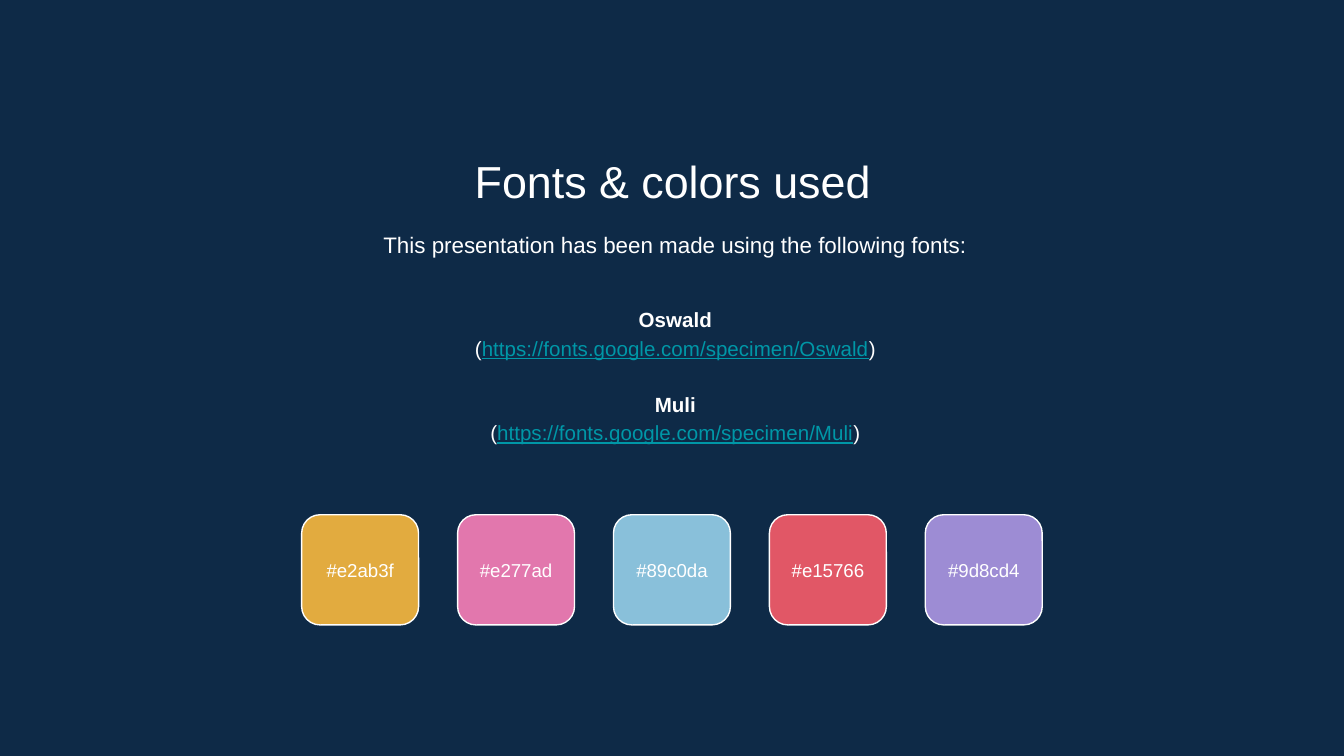
import dataclasses

import pptx
import pptx.dml.color
import pptx.enum.shapes
import pptx.enum.text
import pptx.oxml
import pptx.oxml.ns
import pptx.util

Inches = pptx.util.Inches
Pt = pptx.util.Pt
RGBColor = pptx.dml.color.RGBColor
PP_ALIGN = pptx.enum.text.PP_ALIGN
MSO_ANCHOR = pptx.enum.text.MSO_ANCHOR

FONT = "Arial"
NAVY = RGBColor(0x0E, 0x2A, 0x47)
WHITE = RGBColor(0xFF, 0xFF, 0xFF)
TEAL = RGBColor(0x00, 0x97, 0xA7)

SLIDE_WIDTH = 10
SLIDE_HEIGHT = SLIDE_WIDTH * 9 / 16


@dataclasses.dataclass
class Typeface:
    name: str
    address: str


TYPEFACES = [
    Typeface("Oswald", "https://fonts.google.com/specimen/Oswald"),
    Typeface("Muli", "https://fonts.google.com/specimen/Muli"),
]
SWATCHES = ["#e2ab3f", "#e277ad", "#89c0da", "#e15766", "#9d8cd4"]

# The row of swatches is centered on the slide
SWATCH_TOP, SWATCH_STEP = 3.83, 1.16
SWATCH_WIDTH, SWATCH_HEIGHT = 0.87, 0.82
SWATCH_LEFT = (SLIDE_WIDTH - SWATCH_STEP * (len(SWATCHES) - 1) - SWATCH_WIDTH) / 2


def style(font, size: float, bold: bool = False) -> None:
    font.name = FONT
    font.size = Pt(size)
    font.bold = bold
    font.color.rgb = WHITE


def set_frame(frame, anchor) -> None:
    frame.word_wrap = True
    frame.auto_size = pptx.enum.text.MSO_AUTO_SIZE.NONE
    frame.vertical_anchor = anchor
    frame.margin_left = frame.margin_right = Inches(0.1)
    frame.margin_top = frame.margin_bottom = Inches(0.1)


def place(holder, left: float, top: float, width: float, height: float, anchor) -> None:
    """Move a placeholder and give its text frame even margins."""
    holder.left, holder.top = Inches(left), Inches(top)
    holder.width, holder.height = Inches(width), Inches(height)
    set_frame(holder.text_frame, anchor)


def center_plain(paragraph, space_before: float = 0) -> None:
    """Center a body paragraph and remove its bullet and indent."""
    paragraph.alignment = PP_ALIGN.CENTER
    paragraph.line_spacing = 1.15
    paragraph.space_before = Pt(space_before)
    properties = paragraph._p.get_or_add_pPr()
    properties.set("marL", "0")
    properties.set("indent", "0")
    properties.append(pptx.oxml.parse_xml(f"<a:buNone {pptx.oxml.ns.nsdecls('a')}/>"))


def add_typeface(frame, typeface: Typeface, first: bool) -> None:
    name = frame.paragraphs[0] if first else frame.add_paragraph()
    name.text = typeface.name
    center_plain(name, 0 if first else 15)
    style(name.runs[0].font, 11, bold=True)

    address = frame.add_paragraph()
    center_plain(address)
    for part in ("(", typeface.address, ")"):
        run = address.add_run()
        run.text = part
        style(run.font, 11)
        if part == typeface.address:
            run.font.color.rgb = TEAL
            run.font.underline = True


def add_swatch(slide, index: int, code: str) -> None:
    swatch = slide.shapes.add_shape(
        pptx.enum.shapes.MSO_SHAPE.ROUNDED_RECTANGLE,
        Inches(SWATCH_LEFT + index * SWATCH_STEP), Inches(SWATCH_TOP),
        Inches(SWATCH_WIDTH), Inches(SWATCH_HEIGHT))
    swatch.shadow.inherit = False
    swatch.fill.solid()
    swatch.fill.fore_color.rgb = RGBColor.from_string(code[1:].upper())
    swatch.line.color.rgb = WHITE
    swatch.line.width = Pt(0.75)
    set_frame(swatch.text_frame, MSO_ANCHOR.MIDDLE)
    swatch.text_frame.text = code
    label = swatch.text_frame.paragraphs[0]
    label.alignment = PP_ALIGN.CENTER
    style(label.runs[0].font, 10)


def main() -> None:
    deck = pptx.Presentation()
    deck.slide_width, deck.slide_height = Inches(SLIDE_WIDTH), Inches(SLIDE_HEIGHT)
    slide = deck.slides.add_slide(deck.slide_layouts.get_by_name("Two Content"))
    slide.background.fill.solid()
    slide.background.fill.fore_color.rgb = NAVY
    title, intro, fonts = list(slide.placeholders)[:3]

    # Title
    place(title, 1.15, 1.04, 7.71, 0.53, MSO_ANCHOR.TOP)
    title.text_frame.text = "Fonts & colors used"
    heading = title.text_frame.paragraphs[0]
    heading.alignment = PP_ALIGN.CENTER
    style(heading.runs[0].font, 24)

    # Introduction
    place(intro, 1.17, 1.59, 7.71, 0.48, MSO_ANCHOR.TOP)
    intro.text_frame.text = "This presentation has been made using the following fonts:"
    sentence = intro.text_frame.paragraphs[0]
    center_plain(sentence)
    style(sentence.runs[0].font, 12)

    # Fonts with their addresses
    place(fonts, 1.17, 2.1, 7.71, 1.37, MSO_ANCHOR.MIDDLE)
    for index, typeface in enumerate(TYPEFACES):
        add_typeface(fonts.text_frame, typeface, first=index == 0)

    # Color swatches
    for index, code in enumerate(SWATCHES):
        add_swatch(slide, index, code)

    deck.save("out.pptx")


if __name__ == "__main__":
    main()
